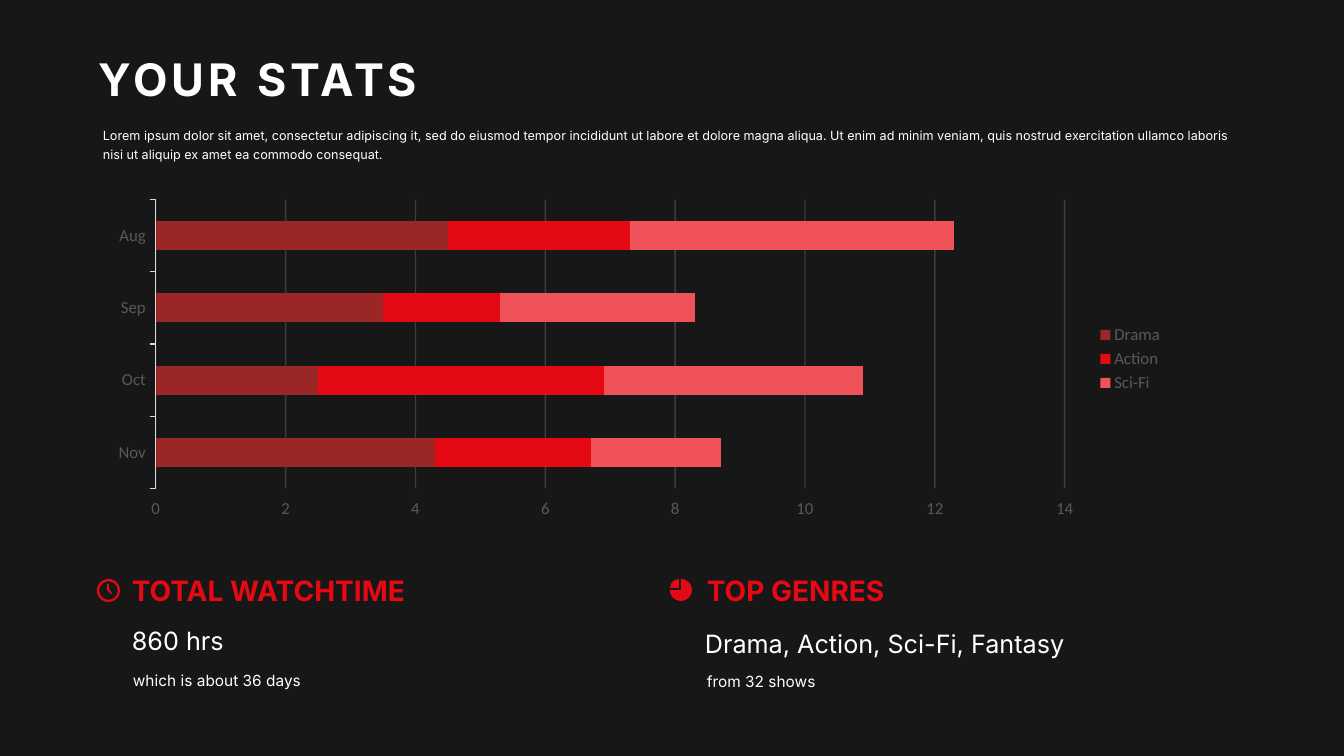
from dataclasses import dataclass

from lxml import etree
from pptx import Presentation
from pptx import util as u
from pptx.chart.data import CategoryChartData
from pptx.dml.color import RGBColor
from pptx.enum import chart as ch, shapes, text
from pptx.oxml import ns


@dataclass(frozen=True)
class Theme:
    back: str = "181717"
    ink: str = "FFFFFF"
    red: str = "E50914"
    label: str = "595959"
    rule: str = "D9D9D9"
    bars: tuple = ("9A2626", "E50914", "F0525A")
    face: str = "Inter"
    plot: str = "Calibri"
    title: int = 32
    head: int = 20
    value: int = 18
    note: int = 11
    body: int = 9
    axis: int = 12


T = Theme()
INTRO = ("Lorem ipsum dolor sit amet, consectetur adipiscing it, sed do eiusmod "
         "tempor incididunt ut labore et dolore magna aliqua. Ut enim ad minim "
         "veniam, quis nostrud exercitation ullamco laboris nisi ut aliquip ex "
         "amet ea commodo consequat.")
MONTHS = ("Nov", "Oct", "Sep", "Aug")
HOURS = {
    "Drama": (4.3, 2.5, 3.5, 4.5),
    "Action": (2.4, 4.4, 1.8, 2.8),
    "Sci-Fi": (2, 4, 3, 5),
}


def px(n):
    return u.Emu(round(n * 914400 / 100.8))


def rgb(code):
    return RGBColor.from_string(code)


def style(font, size, color, face=T.face, bold=False):
    font.size, font.name, font.bold = u.Pt(size), face, bold
    font.color.rgb = rgb(color)


def write(shape, words, size, color=T.ink, bold=False, wrap=False):
    frame = shape.text_frame
    frame.text = words
    frame.word_wrap = wrap
    frame.auto_size = text.MSO_AUTO_SIZE.SHAPE_TO_FIT_TEXT
    frame.vertical_anchor = text.MSO_ANCHOR.TOP
    para = frame.paragraphs[0]
    para.alignment = text.PP_ALIGN.LEFT
    style(para.font, size, color, bold=bold)
    return para


def label(slide, box, *args, **opts):
    return write(slide.shapes.add_textbox(*map(px, box)), *args, **opts)


def paint(shape):
    shape.shadow.inherit = False
    shape.fill.solid()
    shape.fill.fore_color.rgb = rgb(T.red)
    shape.line.fill.background()
    return shape


def preset(slide, kind, x, y, size, *adjust):
    shape = paint(slide.shapes.add_shape(kind, px(x), px(y), px(size), px(size)))
    for i, value in enumerate(adjust):
        shape.adjustments[i] = value


def header(slide, x, y, w):
    title = slide.shapes.title
    title.left, title.top, title.width, title.height = map(px, (x, y, 348, 65))
    para = write(title, "YOUR STATS", T.title, bold=True)
    para.line_spacing = 1.0
    para.runs[0]._r.get_or_add_rPr().set("spc", "300")
    intro = label(slide, (x + 5, y + 71, w - 5, 48), INTRO, T.body, wrap=True)
    intro.line_spacing = 1.3


def graph(slide, *box):
    data = CategoryChartData()
    data.categories = MONTHS
    for name, hours in HOURS.items():
        data.add_series(name, hours)
    chart = slide.shapes.add_chart(
        ch.XL_CHART_TYPE.BAR_STACKED, *map(px, box), data).chart
    style(chart.font, T.axis, T.label, T.plot)
    chart.has_title = False
    chart.has_legend = True
    chart.legend.position = ch.XL_LEGEND_POSITION.RIGHT
    chart.legend.include_in_layout = False
    style(chart.legend.font, T.axis, T.label, T.plot)

    plot = chart.plots[0]
    plot.gap_width, plot.overlap, plot.vary_by_categories = 150, 100, False
    for series, color in zip(plot.series, T.bars):
        series.format.fill.solid()
        series.format.fill.fore_color.rgb = rgb(color)

    months, scale = chart.category_axis, chart.value_axis
    for axis in (months, scale):
        axis.major_tick_mark = ch.XL_TICK_MARK.OUTSIDE
        style(axis.tick_labels.font, T.axis, T.label, T.plot)
    months.format.line.color.rgb = rgb(T.rule)
    months.format.line.width = u.Pt(0.75)
    scale.format.line.fill.background()
    scale.has_major_gridlines = True
    grid = scale.major_gridlines.format.line
    grid.color.rgb = rgb(T.rule)
    grid.width = u.Pt(1)
    for tint in scale._element.findall(".//" + ns.qn("c:majorGridlines")
                                       + "//" + ns.qn("a:srgbClr")):
        etree.SubElement(tint, ns.qn("a:alpha")).set("val", "20000")


def clock(slide, x, y):
    preset(slide, shapes.MSO_SHAPE.DONUT, x, y, 23, 0.09)
    hands = [(px(x + a), px(y + b)) for a, b in
             ((10, 5), (12, 5), (12, 10), (15, 14), (14, 15), (10, 11))]
    pen = slide.shapes.build_freeform(*hands[0])
    pen.add_line_segments(hands[1:])
    paint(pen.convert_to_shape())


def wheel(slide, x, y):
    west, north = 180 * 0.6, 270 * 0.6
    preset(slide, shapes.MSO_SHAPE.PIE, x, y, 22, north, west)
    preset(slide, shapes.MSO_SHAPE.PIE, x, y, 18, west, north)


def stat(slide, x, y, icon, head, value, note):
    """Each text is (words, left, top, width), measured from the box corner."""
    icon(slide, x, y + 10)
    rows = ((head, 44, T.head, T.red, True),
            (value, 40, T.value, T.ink, False),
            (note, 29, T.note, T.ink, False))
    for (words, dx, dy, w), h, size, color, bold in rows:
        label(slide, (x + dx, y + dy, w, h), words, size, color, bold)


def main():
    deck = Presentation()
    deck.slide_width, deck.slide_height = px(1344), px(756)
    slide = deck.slides.add_slide(deck.slide_layouts.get_by_name("Title Only"))
    slide.background.fill.solid()
    slide.background.fill.fore_color.rgb = rgb(T.back)
    header(slide, 88, 47, 1160)
    graph(slide, 97, 193, 1077, 332)
    stat(slide, 97, 569, clock,
         ("TOTAL WATCHTIME", 25, 0, 296),
         ("860 hrs", 25, 51, 113),
         ("which is about 36 days", 26, 97, 191))
    stat(slide, 670, 569, wheel,
         ("TOP GENRES", 27, 0, 200),
         ("Drama, Action, Sci-Fi, Fantasy", 25, 54, 382),
         ("from 32 shows", 27, 98, 130))
    deck.save("out.pptx")


if __name__ == "__main__":
    main()
